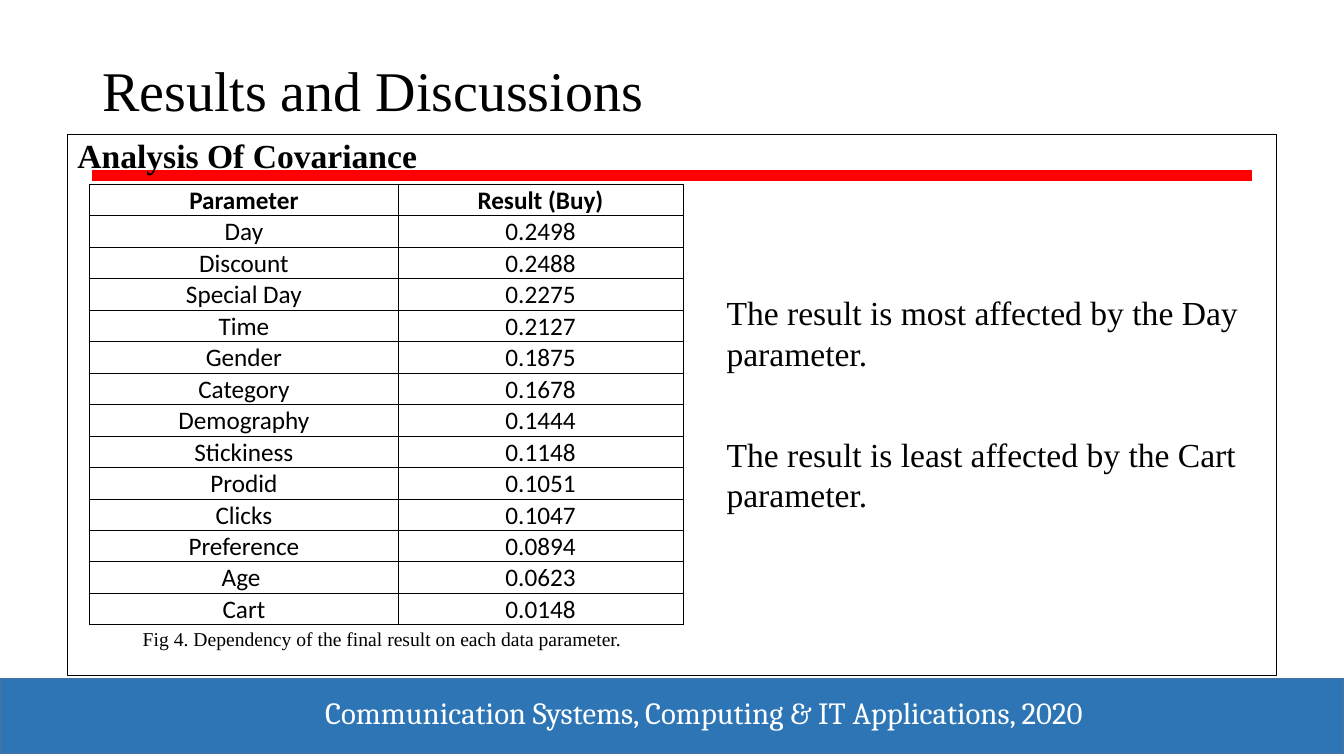
from lxml.etree import SubElement as Sub
from pptx import Presentation
from pptx.dml.color import RGBColor
from pptx.enum.shapes import MSO_CONNECTOR as Link, MSO_SHAPE as Shape
from pptx.enum.text import MSO_ANCHOR as Anchor, PP_ALIGN as Align
from pptx.oxml.ns import qn
from pptx.util import Cm, Pt

BLACK = RGBColor(0, 0, 0)
WHITE = RGBColor(255, 255, 255)
RED = RGBColor(255, 0, 0)
BLUE = RGBColor(0x2E, 0x75, 0xB6)
NAVY = RGBColor(0x43, 0x73, 0x9E)
SERIF = "Times New Roman"

SCORES = [
    ("Parameter", "Result (Buy)"),
    ("Day", "0.2498"),
    ("Discount", "0.2488"),
    ("Special Day", "0.2275"),
    ("Time", "0.2127"),
    ("Gender", "0.1875"),
    ("Category", "0.1678"),
    ("Demography", "0.1444"),
    ("Stickiness", "0.1148"),
    ("Prodid", "0.1051"),
    ("Clicks", "0.1047"),
    ("Preference", "0.0894"),
    ("Age ", "0.0623"),
    ("Cart", "0.0148"),
]
NOTES = [
    "The result is most affected by the Day parameter.",
    "The result is least affected by the Cart parameter.",
]


def write(frame, text, size, font=SERIF, color=BLACK, bold=False, align=Align.LEFT):
    para = frame.paragraphs[0]
    para.alignment = align
    run = para.add_run()
    run.text = text
    run.font.size = Pt(size)
    run.font.name = font
    run.font.bold = bold
    run.font.color.rgb = color
    return para


def add_text(slide, box, text, size, anchor=Anchor.TOP, **style):
    frame = slide.shapes.add_textbox(*map(Cm, box)).text_frame
    frame.word_wrap = True
    frame.vertical_anchor = anchor
    return write(frame, text, size, **style)


def add_rect(slide, box, edge, width):
    rect = slide.shapes.add_shape(Shape.RECTANGLE, *map(Cm, box))
    rect.shadow.inherit = False
    rect.fill.background()
    rect.line.color.rgb = edge
    rect.line.width = Pt(width)
    return rect


def add_footer(slide, box):
    left, top, width, height = box
    bar = add_rect(slide, box, NAVY, 1)
    bar.fill.solid()
    bar.fill.fore_color.rgb = BLUE
    add_text(slide, (left + 6.02, top + 0.25, 23.44, 1.19),
             "Communication Systems, Computing & IT Applications, 2020",
             22, font="Cambria", color=WHITE, align=Align.CENTER)


def add_header(slide, box):
    left, top, width, height = box
    # Red rule just below the title
    level = top + height + 0.23
    rule = slide.shapes.add_connector(
        Link.STRAIGHT, Cm(left), Cm(level), Cm(left + width), Cm(level))
    rule.line.color.rgb = RED
    rule.line.width = Pt(8)
    Sub(rule._element.spPr, qn("a:effectLst"))
    title = add_text(slide, box, "Results and Discussions", 40, Anchor.MIDDLE)
    title.line_spacing = 0.9


def set_borders(cell):
    props = cell._tc.get_or_add_tcPr()
    for spot, side in enumerate(("a:lnL", "a:lnR", "a:lnT", "a:lnB")):
        line = Sub(props, qn(side), w=str(Pt(0.5)))
        fill = Sub(line, qn("a:solidFill"))
        Sub(fill, qn("a:srgbClr"), val=str(BLACK))
        props.remove(line)
        props.insert(spot, line)  # borders come before the fill


def add_scores(slide, box):
    left, top, width, height = box
    table = slide.shapes.add_table(len(SCORES), 2, *map(Cm, box)).table
    table.first_row = table.horz_banding = False
    for col, share in zip(table.columns, (0.52, 0.48)):
        col.width = Cm(width * share)
    for r, row in enumerate(SCORES):
        table.rows[r].height = Cm(height / len(SCORES))
        for c, text in enumerate(row):
            cell = table.cell(r, c)
            cell.fill.background()
            cell.vertical_anchor = Anchor.BOTTOM
            cell.margin_left = cell.margin_right = cell.margin_top = Cm(0.03)
            cell.margin_bottom = 0
            write(cell.text_frame, text, 18, font="Calibri",
                  bold=r == 0, align=Align.CENTER)
            set_borders(cell)


def add_body(slide, box):
    left, top, width, height = box
    # Frame with its heading
    frame = add_rect(slide, box, BLACK, 0.75).text_frame
    frame.word_wrap = True
    frame.vertical_anchor = Anchor.TOP
    head = write(frame, "Analysis Of Covariance", 24, bold=True)
    head.line_spacing = 0.9
    head.space_before = Pt(10)
    # Table and caption
    add_text(slide, (left + 0.3, top + 12.29, 15.27, 0.86),
             "Fig 4. Dependency of the final result on each data parameter.",
             14, align=Align.CENTER)
    add_scores(slide, (left + 0.56, top + 1.26, 14.95, 11.05))
    # Findings on the right
    for i, note in enumerate(NOTES):
        add_text(slide, (left + 16.36, top + 3.86 + 3.56 * i, 14.12, 2.31), note, 24)


def main():
    deck = Presentation()
    deck.slide_width, deck.slide_height = Cm(33.87), Cm(19.05)
    slide = deck.slides.add_slide(deck.slide_layouts[6])
    add_footer(slide, (0, 17.1, 33.87, 1.89))
    add_header(slide, (2.33, 0.51, 29.21, 3.68))
    add_body(slide, (1.7, 3.38, 30.48, 13.64))
    deck.save("out.pptx")


if __name__ == "__main__":
    main()
